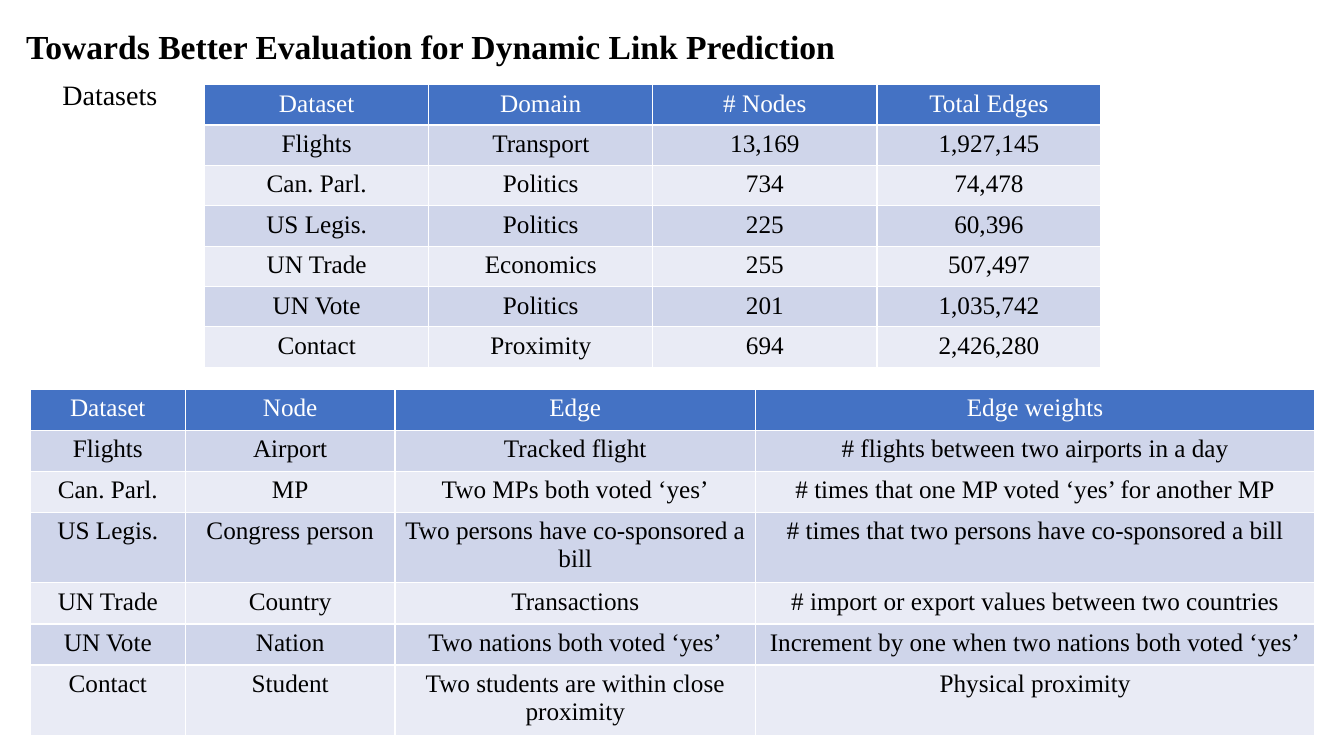
from dataclasses import dataclass

from pptx import Presentation
from pptx.dml.color import RGBColor
from pptx.enum.text import PP_ALIGN
from pptx.util import Inches, Pt

CENTER = PP_ALIGN.CENTER


@dataclass(frozen=True)
class Theme:
    font: str = "Times New Roman"
    title_size: int = 24
    label_size: int = 20
    cell_size: int = 18
    text: str = "000000"
    header_text: str = "FFFFFF"
    header_fill: str = "4472C4"
    bands: tuple = ("CFD5EA", "E9EBF5")


THEME = Theme()

SIZES = [
    ("Dataset", "Domain", "# Nodes", "Total Edges"),
    ("Flights", "Transport", "13,169", "1,927,145"),
    ("Can. Parl.", "Politics", "734", "74,478"),
    ("US Legis.", "Politics", "225", "60,396"),
    ("UN Trade", "Economics", "255", "507,497"),
    ("UN Vote", "Politics", "201", "1,035,742"),
    ("Contact", "Proximity", "694", "2,426,280"),
]

MEANINGS = [
    ("Dataset", "Node", "Edge", "Edge weights"),
    ("Flights", "Airport", "Tracked flight", "# flights between two airports in a day"),
    ("Can. Parl.", "MP", "Two MPs both voted ‘yes’",
     "# times that one MP voted ‘yes’ for another MP"),
    ("US Legis.", "Congress person", "Two persons have co-sponsored a bill",
     "# times that two persons have co-sponsored a bill"),
    ("UN Trade", "Country", "Transactions",
     "# import or export values between two countries"),
    ("UN Vote", "Nation", "Two nations both voted ‘yes’",
     "Increment by one when two nations both voted ‘yes’"),
    ("Contact", "Student", "Two students are within close proximity",
     "Physical proximity"),
]


def style_text(p, size, color, bold=False):
    for r in p.runs:
        r.font.name = THEME.font
        r.font.size = Pt(size)
        r.font.bold = bold
        r.font.color.rgb = RGBColor.from_string(color)


def add_text(slide, box, text, size, bold=False, wrap=True):
    tf = slide.shapes.add_textbox(*map(Inches, box)).text_frame
    tf.word_wrap = wrap
    tf.text = text
    style_text(tf.paragraphs[0], size, THEME.text, bold)


def add_dataset_table(slide, box, rows, col_shares, row_shares):
    """Fill the box with a banded table; shares split its width and height."""
    left, top, width, height = box
    table = slide.shapes.add_table(
        len(rows), len(rows[0]), *map(Inches, box)).table
    for col, share in zip(table.columns, col_shares):
        col.width = Inches(width * share / sum(col_shares))
    for row, share in zip(table.rows, row_shares):
        row.height = Inches(height * share / sum(row_shares))

    for i, values in enumerate(rows):
        is_header = i == 0
        fill = THEME.header_fill if is_header else THEME.bands[(i - 1) % 2]
        color = THEME.header_text if is_header else THEME.text
        for j, value in enumerate(values):
            cell = table.cell(i, j)
            cell.fill.solid()
            cell.fill.fore_color.rgb = RGBColor.from_string(fill)
            cell.text = value
            p = cell.text_frame.paragraphs[0]
            p.alignment = CENTER
            style_text(p, THEME.cell_size, color)


def add_datasets_slide(prs):
    slide = prs.slides.add_slide(prs.slide_layouts[6])
    add_text(slide, (0.16, 0.21, 8.85, 0.5),
             "Towards Better Evaluation for Dynamic Link Prediction",
             THEME.title_size, bold=True)
    add_text(slide, (0.52, 0.72, 1.15, 0.44), "Datasets",
             THEME.label_size, wrap=False)
    add_dataset_table(slide, (2.03, 0.84, 8.89, 2.8), SIZES,
                      [1] * 4, [1] * 7)
    # The two rows whose edge text wraps are taller.
    add_dataset_table(slide, (0.3, 3.86, 12.74, 3.43), MEANINGS,
                      [1.54, 2.08, 3.58, 5.55],
                      [0.41, 0.41, 0.41, 0.7, 0.41, 0.41, 0.7])


def main():
    prs = Presentation()
    prs.slide_width, prs.slide_height = Inches(13.33), Inches(7.5)
    add_datasets_slide(prs)
    prs.save("out.pptx")


if __name__ == "__main__":
    main()
